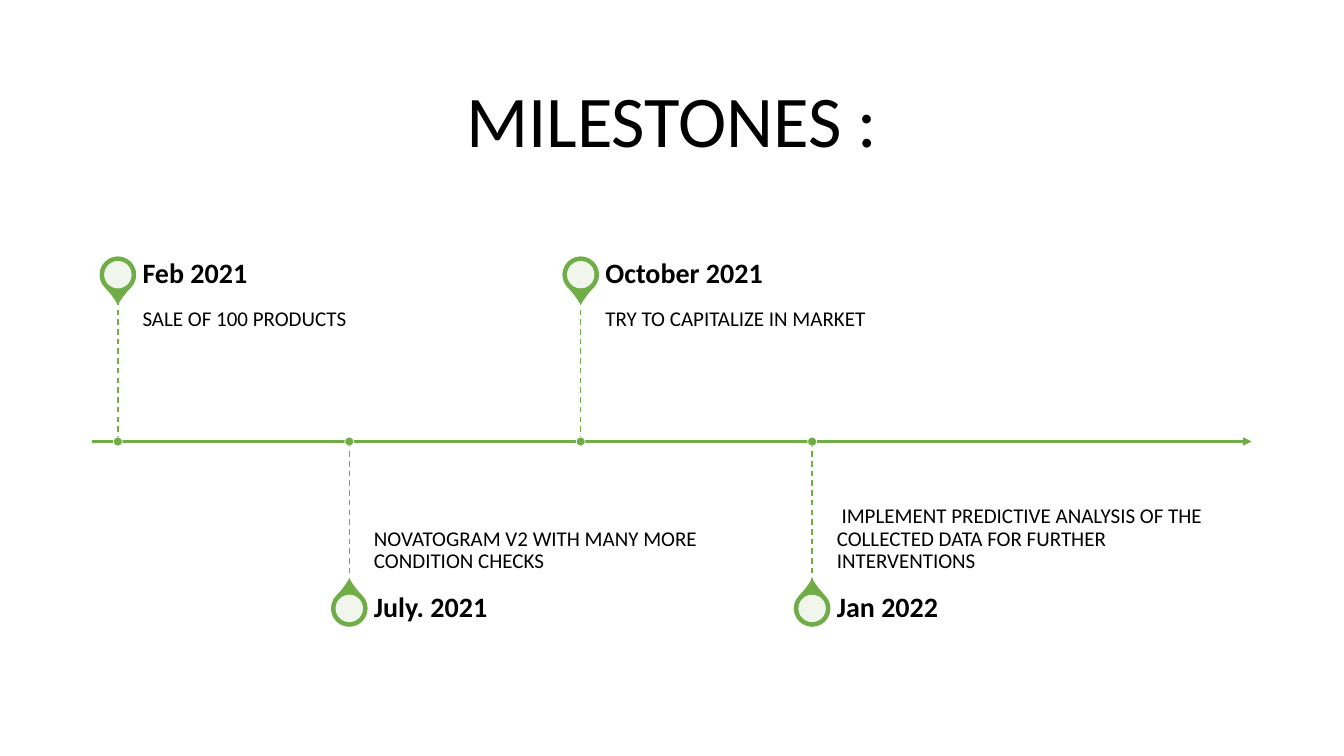
from lxml import etree
from pptx import Presentation
from pptx.dml.color import RGBColor
from pptx.enum.dml import MSO_LINE
from pptx.enum.shapes import MSO_CONNECTOR, MSO_SHAPE
from pptx.enum.text import MSO_ANCHOR, PP_ALIGN
from pptx.oxml.ns import qn
from pptx.util import Pt

STRAIGHT = MSO_CONNECTOR.STRAIGHT
TEARDROP, OVAL = MSO_SHAPE.TEAR, MSO_SHAPE.OVAL
TOP, MIDDLE, BOTTOM = MSO_ANCHOR.TOP, MSO_ANCHOR.MIDDLE, MSO_ANCHOR.BOTTOM
CENTER, LEFT = PP_ALIGN.CENTER, PP_ALIGN.LEFT
DASH = MSO_LINE.DASH

COLORS = {"green": "70AD47", "white": "FFFFFF", "black": "000000"}
FONT = "Calibri"

AXIS_LEFT, AXIS_RIGHT, AXIS_Y = 66, 894, 315.4
FIRST_X, STEP = 84.2, 165.3
STEM_LENGTH, PIN_DISTANCE = 101.4, 119.2
TEXT_OFFSET, TEXT_WIDTH, DATE_HEIGHT = 17.6, 276, 35.6

MILESTONES = [
    ("Feb 2021", "SALE OF 100 PRODUCTS"),
    ("July. 2021", "NOVATOGRAM V2 WITH MANY MORE CONDITION CHECKS"),
    ("October 2021", "TRY TO CAPITALIZE IN MARKET"),
    ("Jan 2022", " IMPLEMENT PREDICTIVE ANALYSIS OF THE COLLECTED DATA "
                 "FOR FURTHER INTERVENTIONS"),
]


def color(name):
    return RGBColor.from_string(COLORS[name])


class TimelineSlide:
    """Holds the current slide and draws its elements, all lengths in points."""

    def __init__(self, slide):
        self.slide = slide

    def fill_text(self, shape, text, size, anchor, margins, bold=False, align=LEFT):
        """Fill a text shape; margins are left, top, right, bottom."""
        frame = shape.text_frame
        frame.word_wrap = True
        frame.vertical_anchor = anchor
        (frame.margin_left, frame.margin_top,
         frame.margin_right, frame.margin_bottom) = map(Pt, margins)
        paragraph = frame.paragraphs[0]
        paragraph.text = text
        paragraph.alignment = align
        paragraph.line_spacing = 0.9
        font = paragraph.font
        font.name, font.size, font.bold = FONT, Pt(size), bold
        font.color.rgb = color("black")

    def title(self, text, left, top, width, height):
        title = self.slide.shapes.title
        title.left, title.top = Pt(left), Pt(top)
        title.width, title.height = Pt(width), Pt(height)
        self.fill_text(title, text, 52, MIDDLE, (7.2, 3.6, 7.2, 3.6), align=CENTER)

    def text(self, text, left, top, width, height, *style, **options):
        box = self.slide.shapes.add_textbox(Pt(left), Pt(top), Pt(width), Pt(height))
        self.fill_text(box, text, *style, **options)

    def line(self, x1, y1, x2, y2, width, dash=None, arrow=False):
        connector = self.slide.shapes.add_connector(STRAIGHT, Pt(x1), Pt(y1), Pt(x2), Pt(y2))
        connector.line.color.rgb = color("green")
        connector.line.width = Pt(width)
        if dash:
            connector.line.dash_style = dash
        properties = connector._element.spPr
        if arrow:
            etree.SubElement(properties.find(qn("a:ln")), qn("a:tailEnd"), type="triangle")
        etree.SubElement(properties, qn("a:effectLst"))

    def marker(self, kind, x, y, size, fill, outline=None, width=0):
        """Draw a shape centred on x, y."""
        shape = self.slide.shapes.add_shape(
            kind, Pt(x - size / 2), Pt(y - size / 2), Pt(size), Pt(size))
        shape.shadow.inherit = False
        shape.fill.solid()
        shape.fill.fore_color.rgb = color(fill)
        if outline:
            shape.line.color.rgb = color(outline)
            shape.line.width = Pt(width)
        else:
            shape.line.fill.background()
        return shape

    def pin(self, x, y, rotation):
        drop = self.marker(TEARDROP, x, y, 25.2, "green", "green", 1)
        drop.adjustments[0] = 1.15
        drop.rotation = rotation
        hole = self.marker(OVAL, x, y, 19.6, "white")
        fill = hole._element.spPr.find(qn("a:solidFill"))
        etree.SubElement(fill[0], qn("a:alpha"), val="90000")

    def milestone(self, x, date, description, above):
        direction = -1 if above else 1
        pin_y = AXIS_Y + direction * PIN_DISTANCE
        stem_end = AXIS_Y + direction * STEM_LENGTH
        self.pin(x, pin_y, 135 if above else 315)
        anchor, margins = (TOP, (0, 7.2, 7.2, 11.5)) if above else (BOTTOM, (0, 11.5, 0, 7.2))
        self.text(description, x + TEXT_OFFSET, min(AXIS_Y, stem_end),
                  TEXT_WIDTH, STEM_LENGTH, 15, anchor, margins)
        self.text(date, x + TEXT_OFFSET, pin_y - DATE_HEIGHT / 2,
                  TEXT_WIDTH, DATE_HEIGHT, 20, MIDDLE, (0, 0, 10, 0), bold=True)
        self.line(x, AXIS_Y, x, stem_end, 1, dash=DASH)
        self.marker(OVAL, x, AXIS_Y, 6.4, "green", "white", 0.5)


def main():
    presentation = Presentation()
    presentation.slide_width, presentation.slide_height = Pt(960), Pt(540)
    title_only = presentation.slide_layouts[5]
    timeline = TimelineSlide(presentation.slides.add_slide(title_only))
    timeline.title("MILESTONES :", 66, 44, 828, 89.3)
    timeline.line(AXIS_LEFT, AXIS_Y, AXIS_RIGHT, AXIS_Y, 1.5, arrow=True)
    for index, (date, description) in enumerate(MILESTONES):
        timeline.milestone(FIRST_X + index * STEP, date, description, index % 2 == 0)
    presentation.save("out.pptx")


if __name__ == "__main__":
    main()
